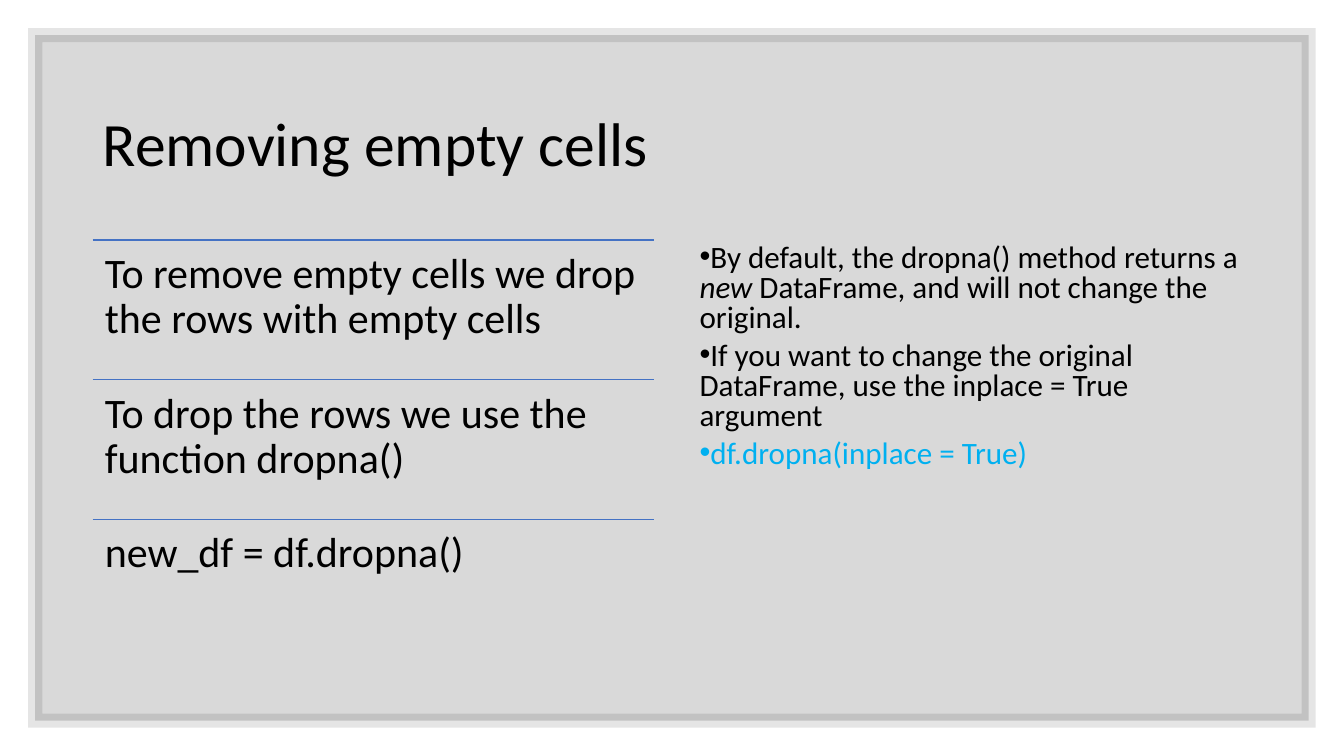
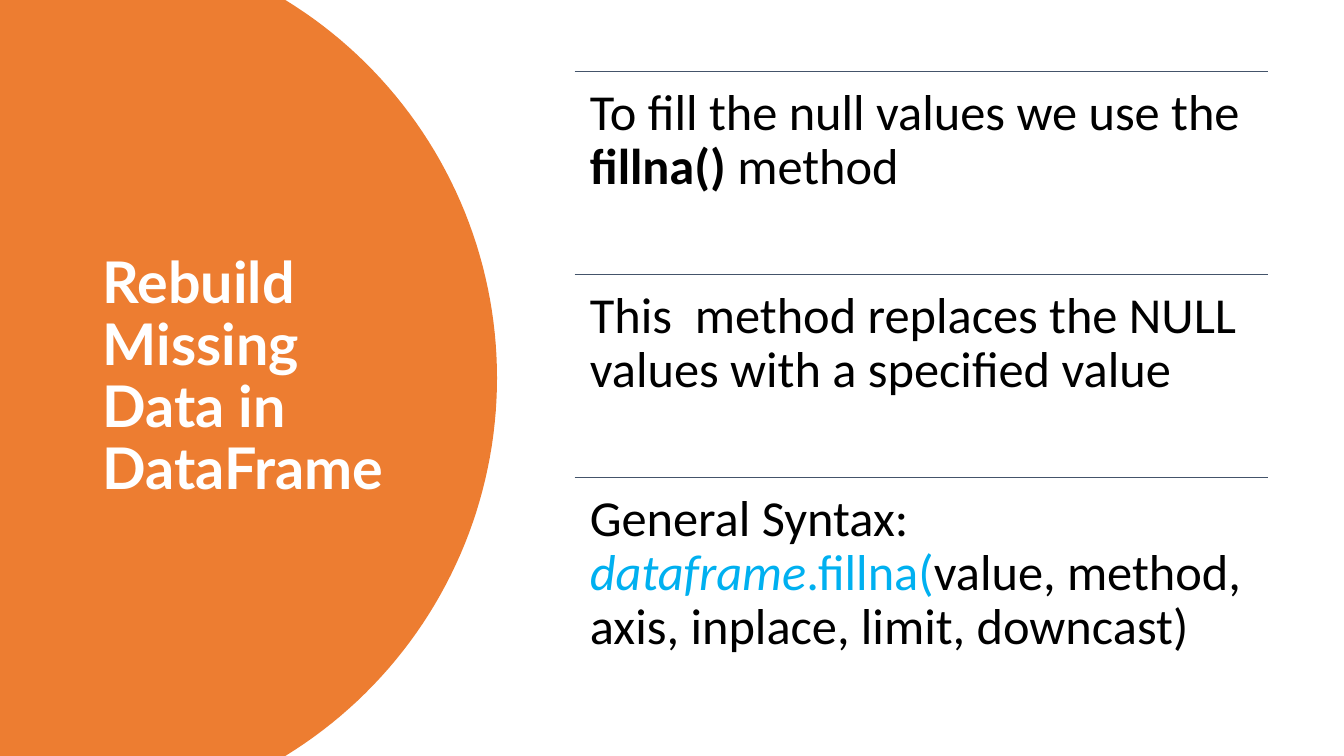
from math import asin, cos, sin

from lxml.etree import SubElement
from pptx import Presentation
from pptx.dml.color import RGBColor
from pptx.enum.shapes import MSO_CONNECTOR, MSO_SHAPE
from pptx.enum.text import MSO_ANCHOR
from pptx.oxml.ns import qn
from pptx.util import Emu, Pt

WIDE, HIGH = 1333, 750
BLACK, WHITE, CYAN = "000000", "FFFFFF", "00B0F0"
BLUE, SLATE, ORANGE = "4472C4", "44546A", "ED7D31"


def px(n):
    """Turn px (100 to the inch) into EMU."""
    return Emu(round(n * 9144))


def rgb(code):
    return RGBColor.from_string(code)


def fade(fill, pct):
    """Make a solid fill see-through, keeping pct of its strength."""
    color = fill._xPr.find(qn("a:solidFill"))[0]
    SubElement(color, qn("a:alpha")).set("val", str(pct * 1000))


def write(slide, box, paras, size, font="Calibri", color=BLACK, bold=False,
          inset=10, pad=5, anchor=MSO_ANCHOR.TOP, lead=0.9):
    """Add a text box; each paragraph is a list of (text, style) runs."""
    frame = slide.shapes.add_textbox(*map(px, box)).text_frame
    frame.word_wrap = True
    frame.vertical_anchor = anchor
    frame.margin_left = frame.margin_right = px(inset)
    frame.margin_top = frame.margin_bottom = px(pad)
    for i, runs in enumerate(paras):
        para = frame.add_paragraph() if i else frame.paragraphs[0]
        para.line_spacing = lead
        for text, style in runs:
            run = para.add_run()
            run.text = text
            run.font.name = font
            run.font.size = Pt(size)
            run.font.bold = style.get("bold", bold)
            run.font.italic = style.get("italic", False)
            run.font.color.rgb = rgb(style.get("color", color))
    return frame


def title(slide, box, text, size, **style):
    write(slide, box, [[(text, {})]], size, anchor=MSO_ANCHOR.MIDDLE, **style)


def rule(slide, left, top, width, color):
    line = slide.shapes.add_connector(
        MSO_CONNECTOR.STRAIGHT, px(left), px(top), px(left + width), px(top))
    line.line.color.rgb = rgb(color)
    line.line.width = Pt(1)
    SubElement(line._element.spPr, qn("a:effectLst"))


def rows(slide, box, items, size, inset, color):
    """Stack equal rows in the box, each under a thin rule."""
    left, top, width, height = box
    step = height / len(items)
    for i, runs in enumerate(items):
        y = top + i * step
        rule(slide, left, y, width, color)
        write(slide, (left, y, width, step), [runs], size,
              inset=inset, pad=inset)


def bullets(slide, box, items, size):
    frame = write(slide, box, items, size, lead=0.8)
    for para in frame.paragraphs:
        para.space_after = Pt(6)
        props = para._p.get_or_add_pPr()
        props.set("marL", "0")
        props.set("indent", str(-px(25)))
        SubElement(props, qn("a:buFont")).set("typeface", "Arial")
        SubElement(props, qn("a:buChar")).set("char", "•")


def panel(slide, box):
    """Draw the grey panel with its see-through border."""
    shape = slide.shapes.add_shape(MSO_SHAPE.RECTANGLE, *map(px, box))
    shape.shadow.inherit = False
    shape.fill.solid()
    shape.fill.fore_color.rgb = rgb(BLACK)
    fade(shape.fill, 15)
    shape.line.color.rgb = rgb(BLACK)
    shape.line.width = Pt(10)
    fade(shape.line.fill, 10)
    SubElement(shape.line._ln, qn("a:miter")).set("lim", "800000")


def dome(slide, box, edge, steps=80):
    """Fill the box from the left, ending in an arc that starts at edge."""
    left, top, width, height = box
    half, rise = height / 2, width - edge
    radius = (half ** 2 + rise ** 2) / (2 * rise)
    mid_x, mid_y = left + width - radius, top + half
    reach = asin(half / radius)
    turns = [reach * (2 * i / steps - 1) for i in range(steps + 1)]
    arc = [(px(mid_x + radius * cos(t)), px(mid_y + radius * sin(t)))
           for t in turns]
    path = slide.shapes.build_freeform(px(left), px(top))
    path.add_line_segments(arc + [(px(left), px(top + height))], close=True)
    shape = path.convert_to_shape()
    shape.shadow.inherit = False
    shape.fill.solid()
    shape.fill.fore_color.rgb = rgb(ORANGE)
    shape.line.fill.background()


def removal(slide):
    panel(slide, (35, 35, 1263, 680))
    title(slide, (92, 73, 1150, 145), "Removing empty cells", 44)
    rows(slide, (92, 238, 557, 416), [
        [("To remove empty cells we drop the rows with empty cells", {})],
        [("To drop the rows we use the function dropna()", {})],
        [("new_df = df.dropna()", {})],
    ], 30, 12, BLUE)
    bullets(slide, (684, 238, 558, 238), [
        [("By default, the dropna() method returns a ", {}),
         ("new ", {"italic": True}),
         ("DataFrame, and will not change the original.", {})],
        [("If you want to change the original DataFrame, "
          "use the inplace = True argument", {})],
        [("df.dropna(inplace = True)", {"color": CYAN})],
    ], 22.2)


def rebuild(slide):
    dome(slide, (0, 0, 493, HIGH), 283)
    title(slide, (92, 70, 323, 609), "Rebuild Missing Data in DataFrame", 41,
          font="Lato", color=WHITE, bold=True)
    rows(slide, (570, 71, 688, 604), [
        [("To fill the null values we use the ", {}),
         ("fillna() ", {"bold": True}), ("method", {})],
        [("This  method replaces the NULL values with a specified value", {})],
        [("General Syntax: ", {}),
         ("dataframe", {"color": CYAN, "italic": True}),
         (".fillna(", {"color": CYAN}),
         ("value, method, axis, inplace, limit, downcast)", {})],
    ], 36, 15, SLATE)


def main():
    deck = Presentation()
    deck.slide_width, deck.slide_height = px(WIDE), px(HIGH)
    for build in (removal, rebuild):
        build(deck.slides.add_slide(deck.slide_layouts[6]))
    deck.save("out.pptx")


if __name__ == "__main__":
    main()
